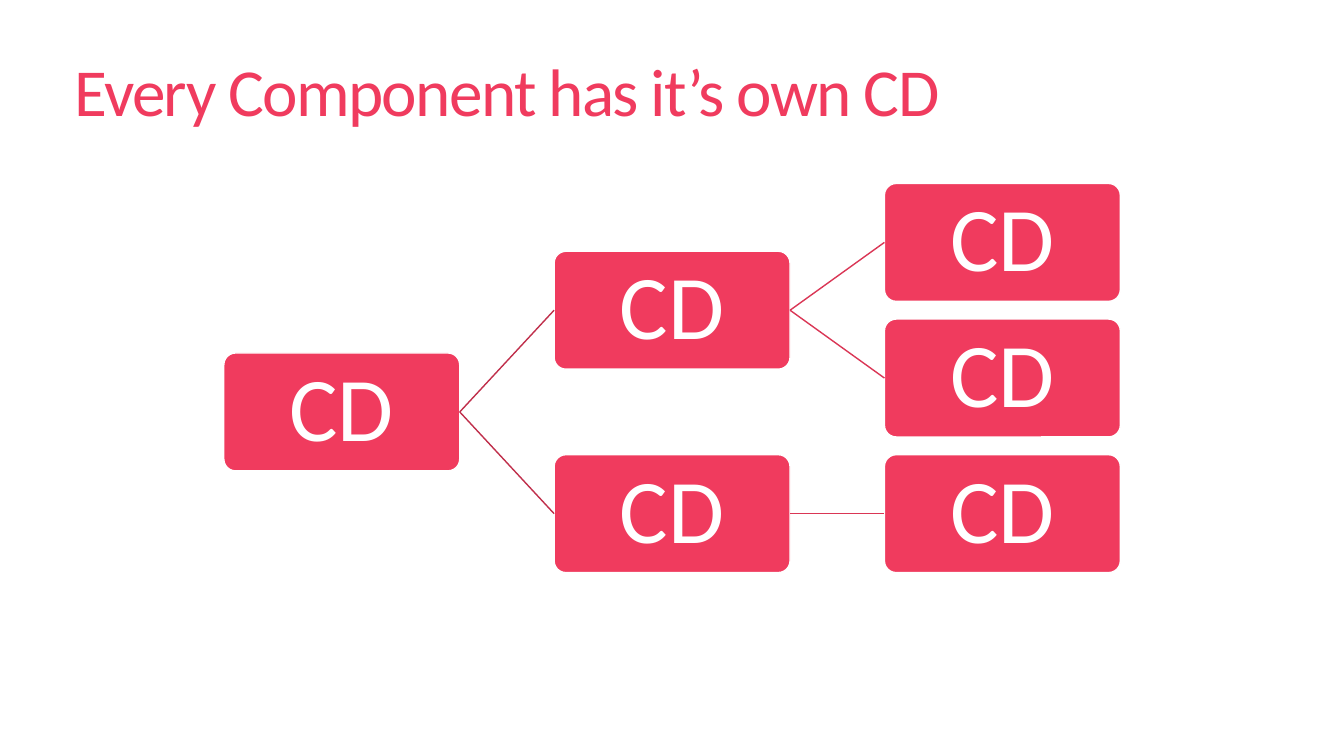
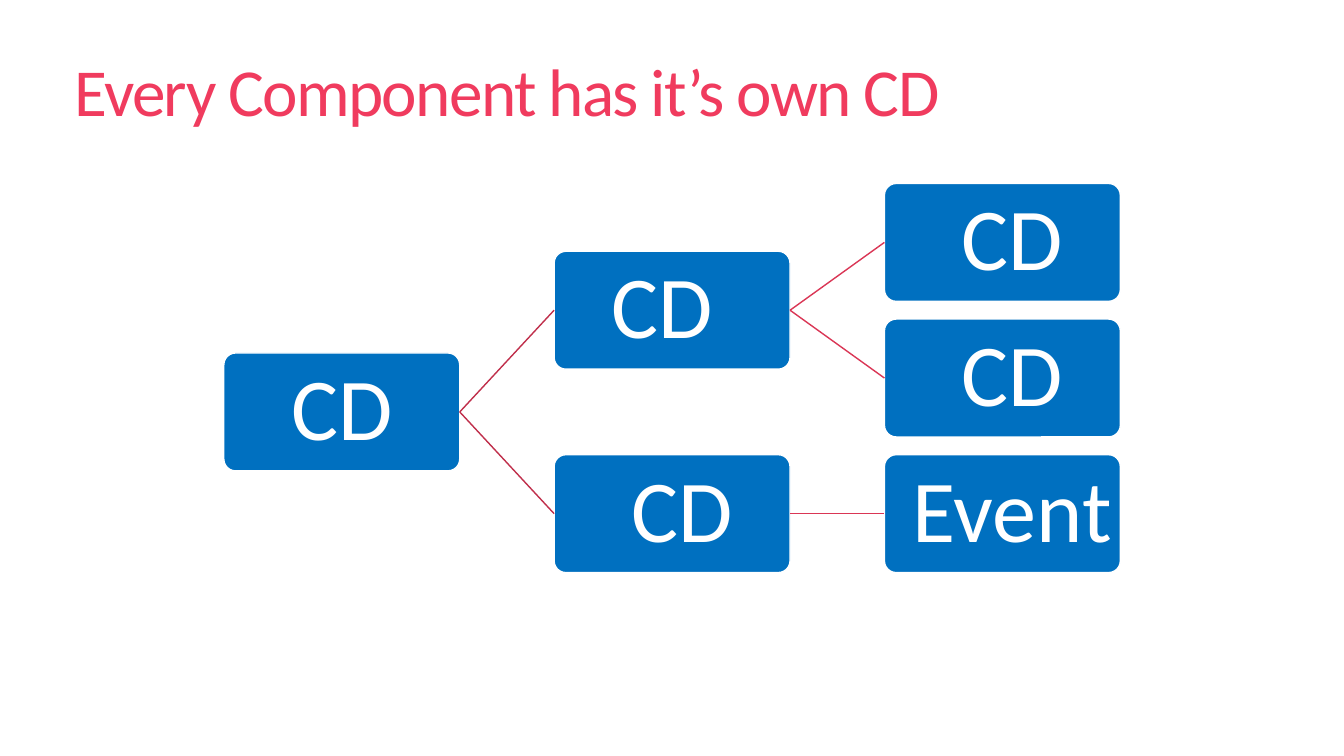
from lxml import etree
from pptx import Presentation
from pptx.dml.color import RGBColor
from pptx.enum.shapes import MSO_CONNECTOR, MSO_SHAPE
from pptx.enum.text import MSO_ANCHOR, MSO_AUTO_SIZE, PP_ALIGN
from pptx.oxml.ns import qn
from pptx.util import Inches, Pt

ROUNDED = MSO_SHAPE.ROUNDED_RECTANGLE
STRAIGHT = MSO_CONNECTOR.STRAIGHT
MIDDLE = MSO_ANCHOR.MIDDLE
LEFT, CENTER = PP_ALIGN.LEFT, PP_ALIGN.CENTER
NO_AUTOFIT = MSO_AUTO_SIZE.NONE
RIGHT_SIDE, LEFT_SIDE = 3, 1

PINK = RGBColor(0xF0, 0x3B, 0x5E)
BLUE = RGBColor(0x00, 0x70, 0xC0)
WHITE = RGBColor(0xFF, 0xFF, 0xFF)
DARK_PINK = RGBColor(0xC0, 0x2F, 0x4B)
MID_PINK = RGBColor(0xDA, 0x36, 0x55)
FONT = "Calibri"
TITLE = "Every Component has it’s own CD"

# Tree grid: gaps are 40 % of a box's width and 15 % of its height
BOX_WIDTH, BOX_HEIGHT = Inches(2.34), Inches(1.17)
TREE_LEFT, TREE_TOP = Inches(2.22), Inches(1.82)
COLUMN, ROW = BOX_WIDTH * 1.4, BOX_HEIGHT * 1.15

# Column, row and parent of each box; a parent sits midway between its children
NODES = [(0, 1.25, None), (1, 0.5, 0), (2, 0, 1), (2, 1, 1), (1, 2, 0), (2, 2, 4)]
LINE_COLORS = {1: DARK_PINK, 2: MID_PINK}

# Box fill, text size, inset and labels of each slide
SLIDES = [
    (PINK, 65, 0.05, ["CD"] * 6),
    (BLUE, 63, 0.04, [" CD ", "CD ", " CD", " CD", " CD", " Event"]),
]


def style_text(frame, alignment, spacing, size, color):
    """Format the only paragraph of a text frame and return its span."""
    frame.word_wrap = True
    frame.auto_size = NO_AUTOFIT
    frame.vertical_anchor = MIDDLE
    para = frame.paragraphs[0]
    para.alignment = alignment
    para.line_spacing = spacing
    span = para.runs[0]
    span.font.name = FONT
    span.font.size = Pt(size)
    span.font.color.rgb = color
    return span


deck = Presentation()
deck.slide_width, deck.slide_height = Inches(13.33), Inches(7.5)

# Shared title position
layout = deck.slide_layouts.get_by_name("Title Only")
title = layout.placeholders[0]
title.left, title.top = Inches(0.64), Inches(0.22)
title.width, title.height = Inches(11.42), Inches(1.47)

for fill, size, inset, labels in SLIDES:
    page = deck.slides.add_slide(layout)
    page.shapes.title.text_frame.text = TITLE
    span = style_text(page.shapes.title.text_frame, LEFT, 0.85, 48, PINK)
    span.font._element.set("spc", "-120")

    # Boxes, each joined to its parent
    boxes = []
    for (column, row, parent), label in zip(NODES, labels):
        box = page.shapes.add_shape(
            ROUNDED, int(TREE_LEFT + column * COLUMN), int(TREE_TOP + row * ROW),
            BOX_WIDTH, BOX_HEIGHT)
        box.adjustments[0] = 0.1
        box.shadow.inherit = False
        box.fill.solid()
        box.fill.fore_color.rgb = fill
        box.line.color.rgb = WHITE
        box.line.width = Pt(1)
        frame = box.text_frame
        frame.margin_left = frame.margin_right = Inches(inset)
        frame.margin_top = frame.margin_bottom = Inches(inset)
        frame.text = label
        style_text(frame, CENTER, 0.9, size, WHITE)
        boxes.append(box)

        if parent is not None:
            branch = page.shapes.add_connector(STRAIGHT, 0, 0, 0, 0)
            branch.begin_connect(boxes[parent], RIGHT_SIDE)
            branch.end_connect(box, LEFT_SIDE)
            branch.line.color.rgb = LINE_COLORS[column]
            branch.line.width = Pt(1)
            etree.SubElement(branch._element.spPr, qn("a:effectLst"))

deck.save("out.pptx")
